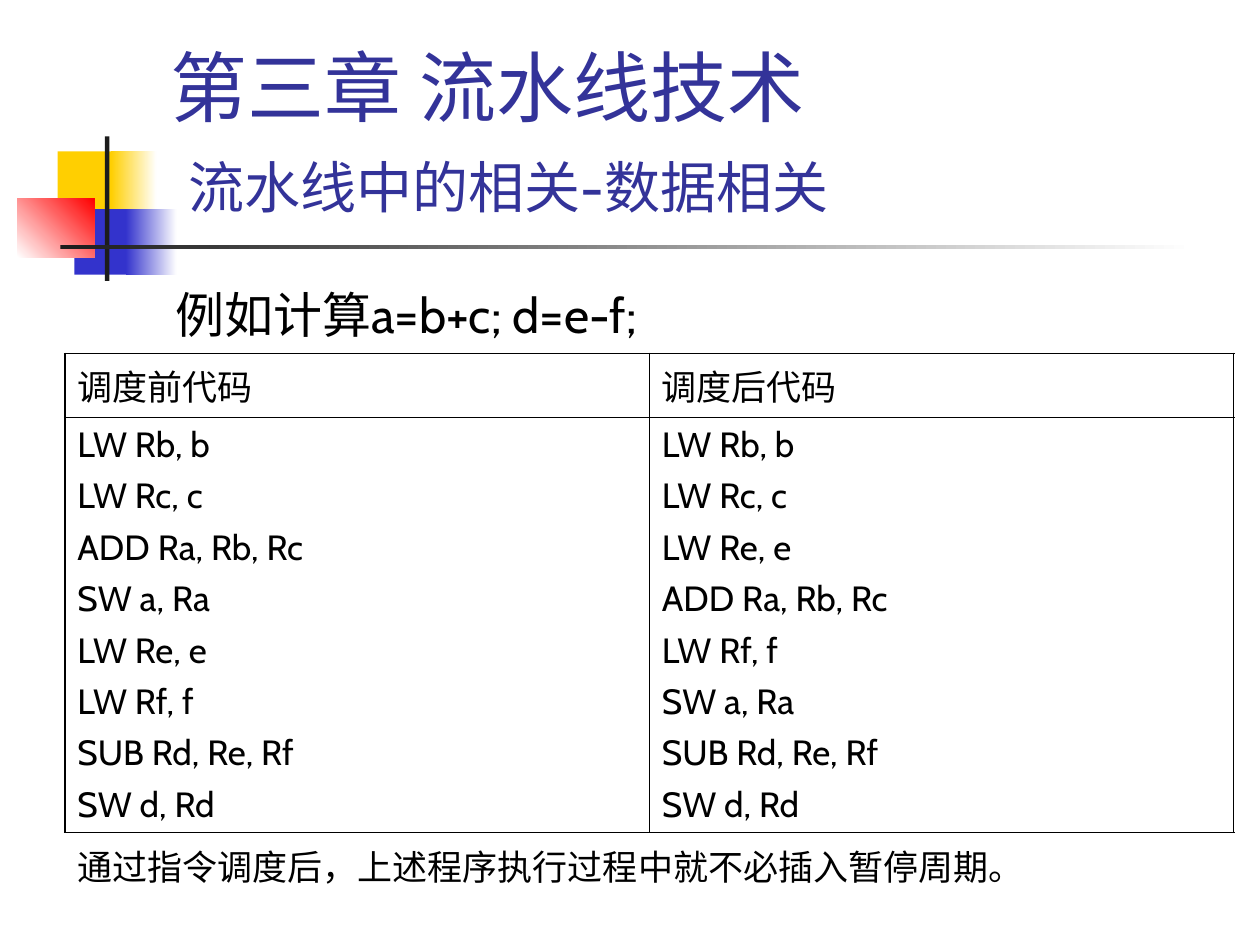
from dataclasses import dataclass
from typing import Optional

from lxml import etree
from pptx import Presentation
from pptx.dml.color import RGBColor
from pptx.enum.shapes import MSO_SHAPE
from pptx.enum.text import MSO_ANCHOR, MSO_AUTO_SIZE, PP_ALIGN
from pptx.oxml.ns import qn
from pptx.util import Pt

RECT = MSO_SHAPE.RECTANGLE
BOTTOM = MSO_ANCHOR.BOTTOM
TOP = MSO_ANCHOR.TOP
NO_FIT = MSO_AUTO_SIZE.NONE
LEFT = PP_ALIGN.LEFT

LATIN = "Cabin"
CJK = "Noto Sans CJK SC"
BLACK = "000000"
NAVY = "333399"
OUTER, INNER = 1.08, 0.45


@dataclass
class Block:
    left: float
    top: float
    width: float
    height: float
    color: str
    end: Optional[str] = None
    angle: float = 0


BLOCKS = [
    Block(33, 86.5, 34.5, 37.5, "FFCF01"),
    Block(63.5, 86.5, 26, 37.5, "FFCF01", "FFFFFF"),
    Block(42.5, 119.5, 33, 37.5, "3333CC"),
    Block(72, 119.5, 29, 37.5, "3333CC", "FFFFFF"),
    Block(10, 113.5, 44, 33.5, "FFFFFF", "FF0000", 45),
    Block(60, 78, 2.5, 82.5, "1C1C1C"),
    Block(34.5, 140, 648, 2.5, "1C1C1C", "FFFFFF"),
]

CODE = [
    ("调度前代码", "调度后代码"),
    (
        "LW Rb, b\nLW Rc, c\nADD Ra, Rb, Rc\nSW a, Ra\n"
        "LW Re, e\nLW Rf, f\nSUB Rd, Re, Rf\nSW d, Rd",
        "LW Rb, b\nLW Rc, c\nLW Re, e\nADD Ra, Rb, Rc\n"
        "LW Rf, f\nSW a, Ra\nSUB Rd, Re, Rf\nSW d, Rd",
    ),
]
ROW_HEIGHTS = (36.5, 236.5)
COL_WIDTH = 334


def rgb(value: str) -> RGBColor:
    return RGBColor.from_string(value)


def set_attrs(obj, values: dict) -> None:
    for name, value in values.items():
        setattr(obj, name, value)


def place(sp, left: float, top: float, width: float, height: float) -> None:
    set_attrs(sp, {"left": Pt(left), "top": Pt(top),
                   "width": Pt(width), "height": Pt(height)})


def add_run(p, text: str, size: float, color: str = BLACK, font: str = LATIN) -> None:
    r = p.add_run()
    r.text = text
    set_attrs(r.font, {"size": Pt(size), "name": font, "bold": False})
    r.font.color.rgb = rgb(color)
    ea = etree.SubElement(r.font._element, qn("a:ea"))
    ea.set("typeface", CJK)


def add_block(shapes, block: Block) -> None:
    sp = shapes.add_shape(RECT, Pt(block.left), Pt(block.top),
                          Pt(block.width), Pt(block.height))
    sp.shadow.inherit = False
    sp.line.fill.background()
    if block.end is None:
        sp.fill.solid()
        sp.fill.fore_color.rgb = rgb(block.color)
        return
    sp.fill.gradient()
    sp.fill.gradient_angle = block.angle
    for stop, color, pos in zip(sp.fill.gradient_stops,
                                (block.color, block.end), (0, 1)):
        stop.color.rgb = rgb(color)
        stop.position = pos


def add_border(cell, side: str, width: float) -> None:
    ln = etree.SubElement(cell._tc.get_or_add_tcPr(), qn(f"a:ln{side}"))
    ln.set("w", str(Pt(width)))
    fill = etree.SubElement(ln, qn("a:solidFill"))
    etree.SubElement(fill, qn("a:srgbClr")).set("val", BLACK)


def fill_cell(cell, text: str) -> None:
    tf = cell.text_frame
    for i, line in enumerate(text.split("\n")):
        p = tf.add_paragraph() if i else tf.paragraphs[0]
        p.space_before = Pt(5 if i else 0)
        add_run(p, line, 20)


def add_code_table(shapes) -> None:
    rows, cols = len(CODE), len(CODE[0])
    table = shapes.add_table(rows, cols, Pt(37), Pt(202),
                             Pt(COL_WIDTH * cols), Pt(sum(ROW_HEIGHTS))).table
    set_attrs(table, {"first_row": False, "horz_banding": False})
    for col in table.columns:
        col.width = Pt(COL_WIDTH)
    for i, texts in enumerate(CODE):
        table.rows[i].height = Pt(ROW_HEIGHTS[i])
        for j, text in enumerate(texts):
            cell = table.cell(i, j)
            fill_cell(cell, text)
            edges = {"L": j == 0, "R": j == cols - 1,
                     "T": i == 0, "B": i == rows - 1}
            for side, outer in edges.items():
                add_border(cell, side, OUTER if outer else INNER)
            cell.fill.background()


def add_title(sp) -> None:
    place(sp, 90.5, 16.5, 613.5, 115)
    set_attrs(sp.text_frame, {"vertical_anchor": BOTTOM, "word_wrap": True,
                              "auto_size": NO_FIT})
    p = sp.text_frame.paragraphs[0]
    p.alignment = LEFT
    add_run(p, "第三章 流水线技术", 44, NAVY, CJK)
    p.add_line_break()
    add_run(p, " ", 44, NAVY, CJK)
    add_run(p, "流水线中的相关-数据相关", 32, NAVY)


def add_body(sp) -> None:
    place(sp, 93, 159, 300, 324)
    set_attrs(sp.text_frame, {"vertical_anchor": TOP, "word_wrap": True,
                              "auto_size": NO_FIT})
    p = sp.text_frame.paragraphs[0]
    pPr = p._p.get_or_add_pPr()
    for name in ("marL", "indent"):
        pPr.set(name, "0")
    etree.SubElement(pPr, qn("a:buNone"))
    p.space_before = Pt(0)
    add_run(p, "例如计算a=b+c; d=e-f;", 28)


def add_note(shapes) -> None:
    sp = shapes.add_textbox(Pt(37), Pt(479.5), Pt(663), Pt(32))
    sp.text_frame.word_wrap = True
    add_run(sp.text_frame.paragraphs[0],
            "通过指令调度后，上述程序执行过程中就不必插入暂停周期。", 20)


def main() -> None:
    prs = Presentation()
    set_attrs(prs, {"slide_width": Pt(720), "slide_height": Pt(540)})
    s = prs.slides.add_slide(prs.slide_layouts[1])
    for block in BLOCKS:
        add_block(s.shapes, block)
    add_title(s.shapes.title)
    add_body(s.placeholders[1])
    add_code_table(s.shapes)
    add_note(s.shapes)
    prs.save("out.pptx")


if __name__ == "__main__":
    main()
